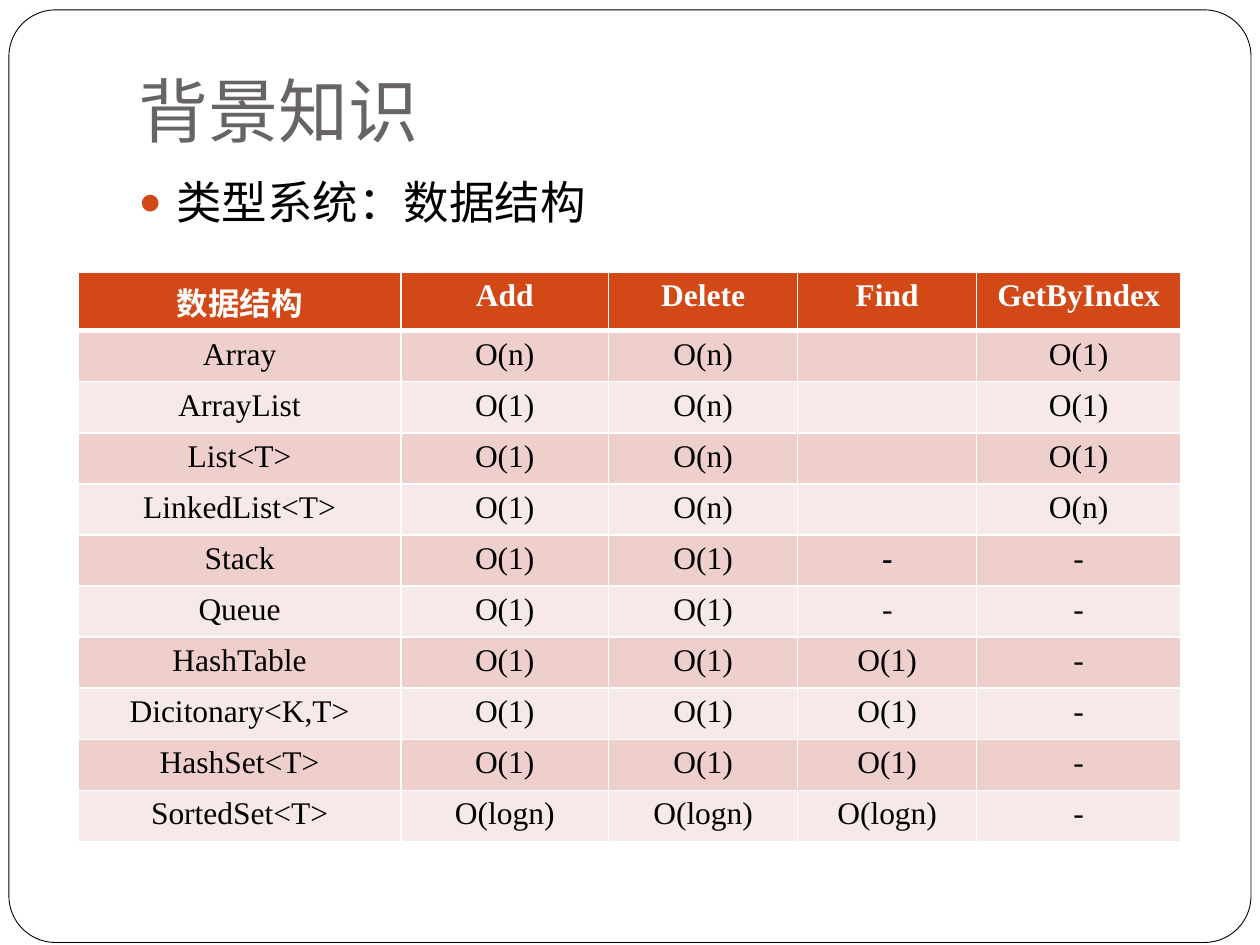
"""Build a slide with a table comparing the cost of data structure operations."""
import dataclasses
import typing

import lxml.etree
import pptx
import pptx.dml.color
import pptx.enum.shapes
import pptx.enum.text
import pptx.oxml
import pptx.oxml.ns
import pptx.util

Cm = pptx.util.Cm
COLORS = {
    "white": "FFFFFF",
    "black": "000000",
    "title": "696464",
    "accent": "D34817",
    "odd_row": "EFCFCC",
    "even_row": "F7E9E8",
}
SERIF = "Times New Roman"
HEADINGS = ("数据结构", "Add", "Delete", "Find", "GetByIndex")
COLUMN_WIDTHS = (6.5, 4.19, 3.81, 3.61, 4.11)
ROW_HEIGHT = 1.03
BORDER_SIDES = ("L", "R", "T", "B")


@dataclasses.dataclass
class Structure:
    """Hold one table row: a data structure and the cost of its operations."""
    name: str
    add: str
    delete: str
    find: str
    get_by_index: str


STRUCTURES = (
    Structure("Array", "O(n)", "O(n)", "", "O(1)"),
    Structure("ArrayList", "O(1)", "O(n)", "", "O(1)"),
    Structure("List<T>", "O(1)", "O(n)", "", "O(1)"),
    Structure("LinkedList<T>", "O(1)", "O(n)", "", "O(n)"),
    Structure("Stack", "O(1)", "O(1)", "-", "-"),
    Structure("Queue", "O(1)", "O(1)", "-", "-"),
    Structure("HashTable", "O(1)", "O(1)", "O(1)", "-"),
    Structure("Dicitonary<K,T>", "O(1)", "O(1)", "O(1)", "-"),
    Structure("HashSet<T>", "O(1)", "O(1)", "O(1)", "-"),
    Structure("SortedSet<T>", "O(logn)", "O(logn)", "O(logn)", "-"),
)


def rgb(name: str) -> pptx.dml.color.RGBColor:
    """Return the named colour."""
    return pptx.dml.color.RGBColor.from_string(COLORS[name])


def apply_format(target: typing.Any, values: dict[str, typing.Any]) -> None:
    """Set each attribute of the target to its format value."""
    for attribute, value in values.items():
        setattr(target, attribute, value)


def write_text(paragraph: typing.Any, text: str, color: str, size: float,
               font_name: str = SERIF, bold: bool = False) -> None:
    """Add one formatted run to the paragraph."""
    run = paragraph.add_run()
    run.text = text
    apply_format(run.font, {"name": font_name, "size": pptx.util.Pt(size), "bold": bold})
    run.font.color.rgb = rgb(color)


def draw_frame(slide: typing.Any) -> None:
    """Draw the rounded frame behind everything else."""
    frame = slide.shapes.add_shape(
        pptx.enum.shapes.MSO_SHAPE.ROUNDED_RECTANGLE, Cm(0.18), Cm(0.2), Cm(25.04), Cm(18.8))
    frame.adjustments[0] = 0.05
    frame.shadow.inherit = False
    frame.fill.solid()
    frame.fill.fore_color.rgb = rgb("white")
    frame.line.color.rgb = rgb("black")
    frame.line.width = pptx.util.Pt(0.5)
    slide.shapes.element.insert(2, frame.element)


def fill_title(title: typing.Any) -> None:
    """Place and write the title."""
    apply_format(title, {"left": Cm(2.54), "top": Cm(0.13), "width": Cm(21.59), "height": Cm(3.18)})
    apply_format(title.text_frame, {
        "vertical_anchor": pptx.enum.text.MSO_ANCHOR.BOTTOM,
        "margin_bottom": Cm(0.25),
        "auto_size": pptx.enum.text.MSO_AUTO_SIZE.NONE,
    })
    paragraph = title.text_frame.paragraphs[0]
    paragraph.alignment = pptx.enum.text.PP_ALIGN.LEFT
    write_text(paragraph, "背景知识", "title", 40, "Karla")


def fill_body(body: typing.Any) -> None:
    """Place and write the bulleted topic."""
    apply_format(body, {"left": Cm(2.54), "top": Cm(3.38), "width": Cm(21.59), "height": Cm(12.7)})
    body.text_frame.auto_size = pptx.enum.text.MSO_AUTO_SIZE.NONE
    paragraph = body.text_frame.paragraphs[0]
    paragraph.space_before = pptx.util.Pt(0)
    properties = paragraph._p.get_or_add_pPr()
    properties.set("marL", str(Cm(0.76)))
    properties.set("indent", str(Cm(-0.76)))
    namespace = pptx.oxml.ns.nsdecls("a")
    for bullet in (
        f'<a:buClr {namespace}><a:srgbClr val="{COLORS["accent"]}"/></a:buClr>',
        f'<a:buSzPct {namespace} val="85000"/>',
        f'<a:buChar {namespace} char="●"/>',
    ):
        properties.append(pptx.oxml.parse_xml(bullet))
    write_text(paragraph, "类型系统：数据结构", "black", 26)


def set_borders(cell: typing.Any, widths: dict[str, float]) -> None:
    """Give the cell white borders, one point wide unless a side says otherwise."""
    properties = cell._tc.get_or_add_tcPr()
    for side in BORDER_SIDES:
        line = lxml.etree.SubElement(properties, pptx.oxml.ns.qn(f"a:ln{side}"))
        line.set("w", str(pptx.util.Pt(widths.get(side, 1))))
        fill = lxml.etree.SubElement(line, pptx.oxml.ns.qn("a:solidFill"))
        lxml.etree.SubElement(fill, pptx.oxml.ns.qn("a:srgbClr")).set("val", COLORS["white"])


def draw_table(slide: typing.Any) -> None:
    """Draw the table of operation costs."""
    rows = [HEADINGS, *(dataclasses.astuple(structure) for structure in STRUCTURES)]
    table = slide.shapes.add_table(
        len(rows), len(HEADINGS), Cm(1.58), Cm(5.49),
        Cm(sum(COLUMN_WIDTHS)), Cm(ROW_HEIGHT * len(rows))).table
    for column, width in zip(table.columns, COLUMN_WIDTHS):
        column.width = Cm(width)
    for row_index, values in enumerate(rows):
        table.rows[row_index].height = Cm(ROW_HEIGHT)
        is_header = row_index == 0
        row_fill = "accent" if is_header else ("even_row", "odd_row")[row_index % 2]
        widths = {0: {"B": 3}, 1: {"T": 3}}.get(row_index, {})
        for column_index, text in enumerate(values):
            cell = table.cell(row_index, column_index)
            set_borders(cell, widths)
            cell.fill.solid()
            cell.fill.fore_color.rgb = rgb(row_fill)
            paragraph = cell.text_frame.paragraphs[0]
            paragraph.alignment = pptx.enum.text.PP_ALIGN.CENTER
            if text:
                is_bold = is_header or (values[0], HEADINGS[column_index]) == ("Stack", "Find")
                write_text(paragraph, text, "white" if is_header else "black", 18, bold=is_bold)


def main() -> None:
    """Build and save the presentation."""
    presentation = pptx.Presentation()
    apply_format(presentation, {"slide_width": Cm(25.4), "slide_height": Cm(19.05)})
    slide = presentation.slides.add_slide(presentation.slide_layouts[1])
    draw_frame(slide)
    fill_title(slide.shapes.title)
    fill_body(slide.placeholders[1])
    draw_table(slide)
    presentation.save("out.pptx")


if __name__ == "__main__":
    main()
